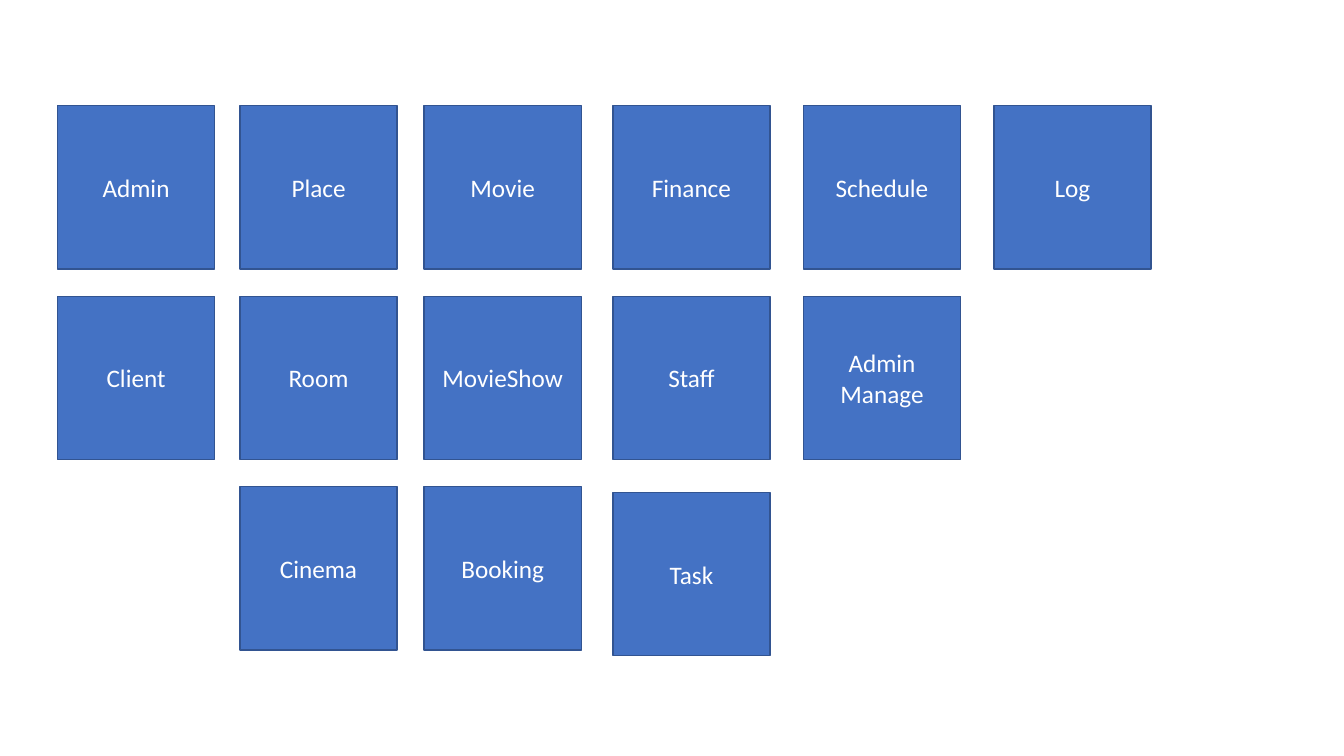
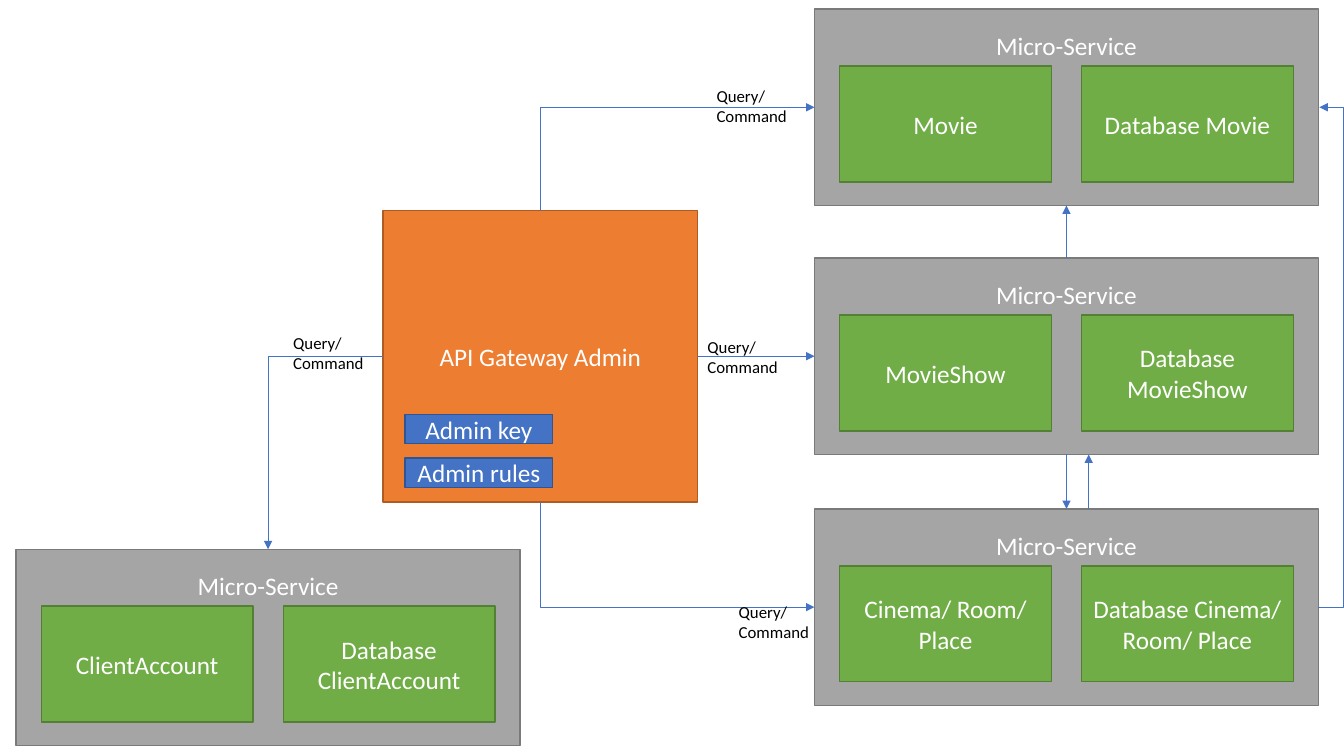
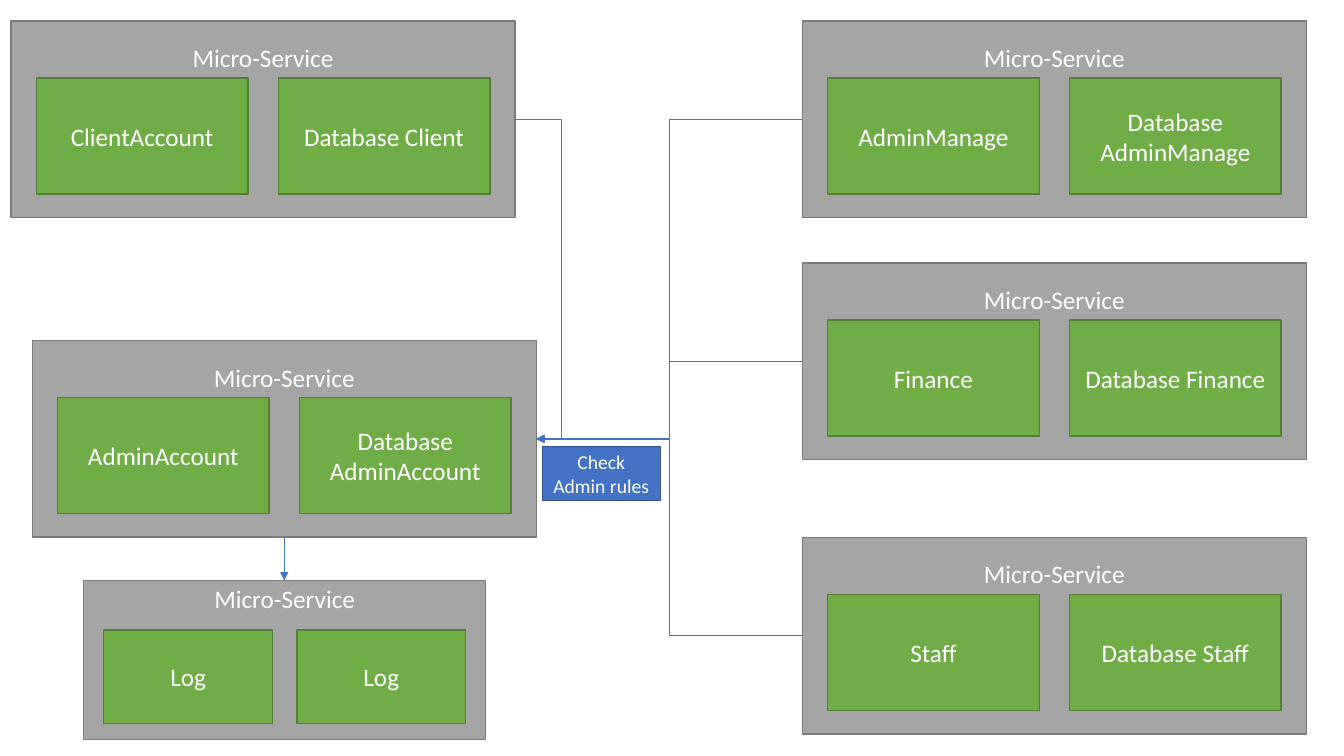
"""Three slides on the modules and micro-services of a cinema system."""
from dataclasses import dataclass

from lxml import etree
from pptx import Presentation
from pptx import util as u
from pptx.dml.color import RGBColor
from pptx.enum import shapes, text
from pptx.oxml import ns

W, H = u.Inches(13.33), u.Inches(7.5)
CELL = W / 40
FONT = "Calibri"
WHITE = RGBColor(0xFF, 0xFF, 0xFF)
BLACK = RGBColor(0x00, 0x00, 0x00)
BLUE = RGBColor(0x44, 0x72, 0xC4)
ORANGE = RGBColor(0xED, 0x7D, 0x31)
GRAY = RGBColor(0xA5, 0xA5, 0xA5)
GREEN = RGBColor(0x70, 0xAD, 0x47)
EDGES = {
    BLUE: RGBColor(0x32, 0x54, 0x91),
    ORANGE: RGBColor(0xAF, 0x5C, 0x24),
    GRAY: RGBColor(0x7A, 0x7A, 0x7A),
    GREEN: RGBColor(0x53, 0x80, 0x35),
}
TITLE_BLOCK = 4.58
TILE_W, TILE_H, TILE_TOP, TILE_PITCH = 4.68, 4.86, 3.15, 5.67
TILES = {
    1.71: {0: "Admin", 1: "Client"},
    7.14: {0: "Place", 1: "Room", 2: "Cinema"},
    12.62: {0: "Movie", 1: "MovieShow", 2: "Booking"},
    18.24: {0: "Finance", 1: "Staff", 2.03: "Task"},
    23.91: {0: "Schedule", 1: "Admin Manage"},
    29.58: {0: "Log"},
}


@dataclass
class Box:
    """A rectangle measured in grid cells."""
    left: float
    top: float
    width: float = 15
    height: float = 5.85

    @property
    def right(self):
        """Right edge."""
        return self.left + self.width

    @property
    def bottom(self):
        """Bottom edge."""
        return self.top + self.height

    @property
    def cx(self):
        """Horizontal centre."""
        return self.left + self.width / 2

    @property
    def cy(self):
        """Vertical centre."""
        return self.top + self.height / 2

    def inner(self, x, y, w, h):
        """Return the inner box at the given shares of this box."""
        return Box(self.left + x * self.width, self.top + y * self.height,
                   w * self.width, h * self.height)

    def emu(self):
        """Return left, top, width and height in slide units."""
        return [cells(v) for v in (self.left, self.top, self.width, self.height)]


def cells(n):
    """Turn grid cells into slide units."""
    return u.Emu(round(n * CELL))


def style(tf, size, color, align):
    """Format every paragraph of a text frame."""
    tf.word_wrap = True
    for p in tf.paragraphs:
        p.alignment = align
        for r in p.runs:
            r.font.name = FONT
            r.font.size = u.Pt(size)
            r.font.color.rgb = color


def block(s, box, label, fill, size=18):
    """Draw a filled rectangle with a centred label."""
    sp = s.shapes.add_shape(shapes.MSO_SHAPE.RECTANGLE, *box.emu())
    sp.shadow.inherit = False
    sp.fill.solid()
    sp.fill.fore_color.rgb = fill
    sp.line.color.rgb = EDGES[fill]
    sp.line.width = u.Pt(1)
    tf = sp.text_frame
    tf.text = label
    tf.vertical_anchor = text.MSO_ANCHOR.MIDDLE
    style(tf, size, WHITE, text.PP_ALIGN.CENTER)
    return tf


def service(s, box, name, database, side=0.05, top=0.29):
    """Draw a micro-service card with its logic and database."""
    tf = block(s, box, "Micro-Service", GRAY)
    tf.vertical_anchor = text.MSO_ANCHOR.TOP
    tf.margin_top = cells((box.height - TITLE_BLOCK) / 2)
    for x, label in ((side, name), (1 - side - 0.42, database)):
        block(s, box.inner(x, top, 0.42, 0.59), label, GREEN)
    return box


def gateway(s, box):
    """Draw the gateway with its key and rules."""
    block(s, box, "API Gateway Admin", ORANGE)
    for y, label in ((0.7, "Admin key"), (0.85, "Admin rules")):
        block(s, box.inner(0.07, y, 0.47, 0.1), label, BLUE)
    return box


def query_label(s, left, top):
    """Write the two-line label of a request arrow."""
    tf = s.shapes.add_textbox(*Box(left, top, 2.94, 1.5).emu()).text_frame
    tf.text = "Query/\nCommand"
    style(tf, 12, BLACK, text.PP_ALIGN.LEFT)


def arrow(s, start, end, preset="line", mid=None, tip="tailEnd"):
    """Draw an arrow; bends leave the start horizontally, mid is the turning column."""
    c = s.shapes.add_connector(shapes.MSO_CONNECTOR.STRAIGHT,
                               *map(cells, (*start, *end)))
    c.line.color.rgb = BLUE
    c.line.width = u.Pt(0.5)
    sppr = c.element.spPr
    geom = sppr.find(ns.qn("a:prstGeom"))
    geom.set("prst", preset)
    if mid is not None:
        turn = round((mid - start[0]) / (end[0] - start[0]) * 100000)
        etree.SubElement(geom.find(ns.qn("a:avLst")), ns.qn("a:gd"),
                         name="adj1", fmla=f"val {turn}")
    etree.SubElement(sppr.find(ns.qn("a:ln")), ns.qn(f"a:{tip}"), type="triangle")
    etree.SubElement(sppr, ns.qn("a:effectLst"))


def modules_slide(s):
    """Lay out the module tiles by column and row."""
    for left, column in TILES.items():
        for row, name in column.items():
            block(s, Box(left, TILE_TOP + row * TILE_PITCH, TILE_W, TILE_H), name, BLUE)


def gateway_slide(s):
    """Show the gateway and the services it calls."""
    gate = gateway(s, Box(11.4, 6.27, 9.36, 8.67))
    movie = service(s, Box(24.24, 0.27), "Movie", "Database Movie")
    show = service(s, Box(24.24, 7.68), "MovieShow", "Database MovieShow")
    cinema = service(s, Box(24.24, 15.15), "Cinema/ Room/ Place",
                     "Database Cinema/ Room/ Place")
    client = service(s, Box(0.48, 16.35), "ClientAccount", "Database ClientAccount")

    for target, edge in ((movie, gate.top), (cinema, gate.bottom)):
        arrow(s, (target.left, target.cy), (gate.cx, edge), "bentConnector2", tip="headEnd")
    arrow(s, (gate.left, gate.cy), (client.cx, client.top), "bentConnector2")
    arrow(s, (gate.right, show.cy), (show.left, show.cy))
    arrow(s, (show.cx, show.top), (show.cx, movie.bottom))
    arrow(s, (show.cx, show.bottom), (show.cx, cinema.top))
    arrow(s, (show.cx + 0.66, cinema.top), (show.cx + 0.66, show.bottom))
    arrow(s, (cinema.right, cinema.cy), (movie.right + 0.03, movie.cy),
          "bentConnector3", mid=40)
    for spot in ((20.76, 9.87), (21.03, 2.4), (21.69, 17.76), (8.43, 9.75)):
        query_label(s, *spot)


def rules_slide(s):
    """Show the services that check the admin rules."""
    manage = service(s, Box(23.88, 0.63), "AdminManage", "Database AdminManage")
    finance = service(s, Box(23.88, 7.83), "Finance", "Database Finance")
    staff = service(s, Box(23.88, 16), "Staff", "Database Staff")
    account = service(s, Box(0.96, 10.14), "AdminAccount", "Database AdminAccount")
    client = service(s, Box(0.33, 0.63), "ClientAccount", "Database Client")
    log = service(s, Box(2.49, 17.28, 11.97, 4.74), "Log", "Log", top=0.31)
    block(s, Box(16.14, 13.29, 3.51, 1.62), "Check Admin rules", BLUE, 14)

    goal = (account.right, account.cy)
    for source in (manage, finance, staff):
        arrow(s, (source.left, source.cy), goal, "bentConnector3",
              mid=(source.left + account.right) / 2)
    arrow(s, (client.right, client.cy), goal, "bentConnector3", mid=16.71)
    arrow(s, (account.cx, account.bottom), (account.cx, log.top))


def main():
    """Build and save the presentation."""
    prs = Presentation()
    prs.slide_width, prs.slide_height = W, H
    for build in (modules_slide, gateway_slide, rules_slide):
        build(prs.slides.add_slide(prs.slide_layouts[6]))
    prs.save("out.pptx")


if __name__ == "__main__":
    main()
